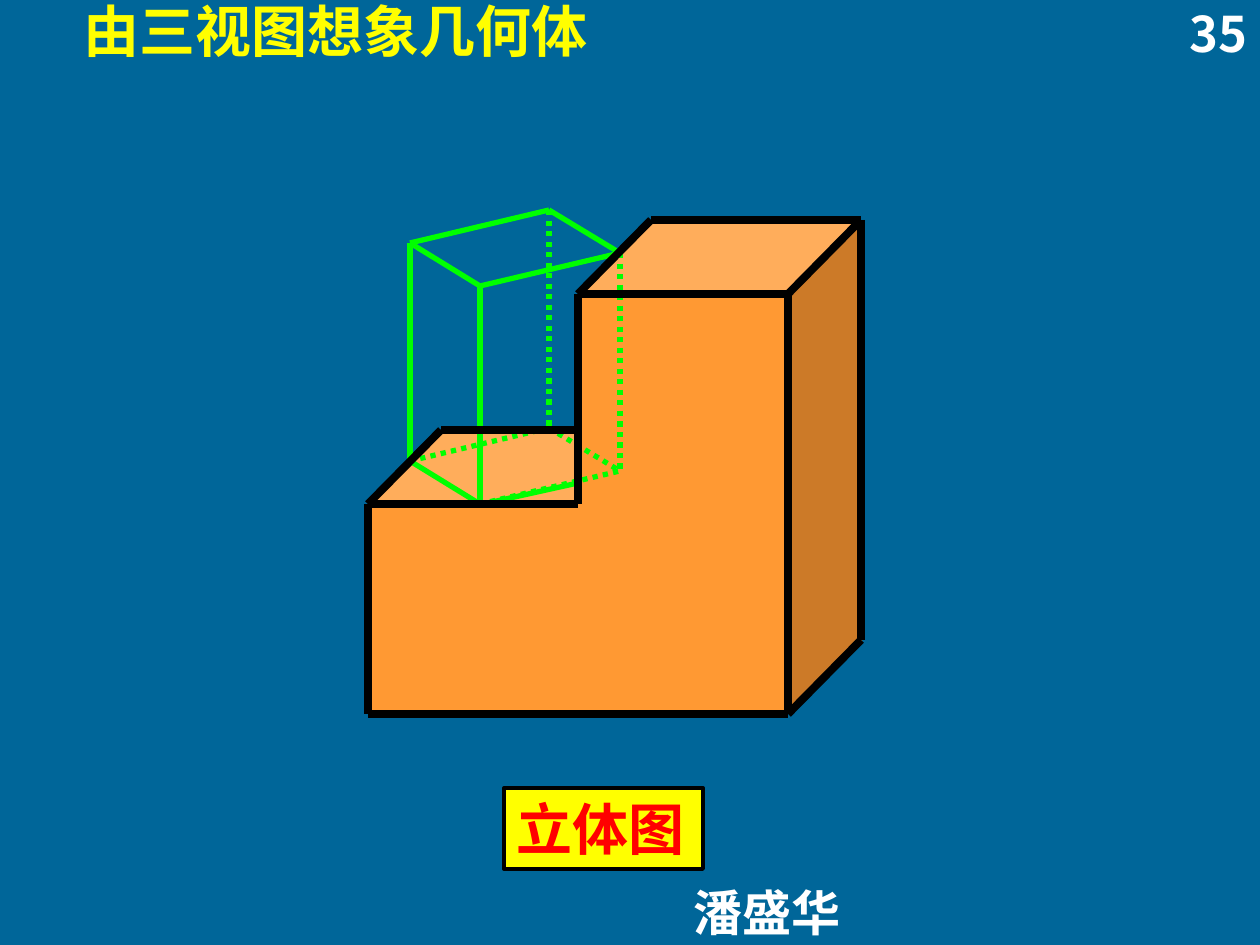
from dataclasses import dataclass
from typing import Optional

import lxml.etree
import pptx
import pptx.dml.color
import pptx.enum.dml
import pptx.enum.shapes
import pptx.enum.text
import pptx.oxml.ns
import pptx.util

EMU_PER_PX = 914400 / 126
ALIGN = pptx.enum.text.PP_ALIGN


@dataclass(frozen=True)
class Theme:
    background: str = "006699"
    solid: str = "FF9933"
    prism: str = "00FF00"
    outline: str = "000000"
    light: str = "FFFFFF"
    yellow: str = "FFFF00"
    red: str = "FF0000"
    east_asian_font: str = "Noto Sans CJK JP"
    heading_size: int = 32
    note_size: int = 28
    prism_width: float = 3
    outline_width: float = 4.5
    label_width: float = 2.25


@dataclass(frozen=True)
class Box:
    left: int
    top: int
    width: int
    height: int


@dataclass(frozen=True)
class TextStyle:
    size: int
    font: str
    color: str
    alignment: ALIGN


@dataclass(frozen=True)
class Point:
    x: int
    y: int


@dataclass(frozen=True)
class Edge:
    start: Point
    end: Point
    dotted: bool = False


THEME = Theme()


def px(length: int) -> int:
    return round(length * EMU_PER_PX)


def rgb(color: str) -> pptx.dml.color.RGBColor:
    return pptx.dml.color.RGBColor.from_string(color)


def place(box: Box) -> tuple[int, int, int, int]:
    return px(box.left), px(box.top), px(box.width), px(box.height)


def write_text(shape, text: str, style: TextStyle) -> None:
    frame = shape.text_frame
    frame.word_wrap = True
    frame.auto_size = pptx.enum.text.MSO_AUTO_SIZE.NONE
    frame.vertical_anchor = pptx.enum.text.MSO_ANCHOR.MIDDLE
    frame.margin_left = frame.margin_right = pptx.util.Inches(0.1)
    frame.margin_top = frame.margin_bottom = pptx.util.Inches(0.05)
    paragraph = frame.paragraphs[0]
    paragraph.text = text
    paragraph.alignment = style.alignment
    font = paragraph.font
    font.size = pptx.util.Pt(style.size)
    font.bold = True
    font.name = style.font
    font.color.rgb = rgb(style.color)
    properties = paragraph._p.pPr.find(pptx.oxml.ns.qn("a:defRPr"))
    east_asian = lxml.etree.SubElement(properties, pptx.oxml.ns.qn("a:ea"))
    east_asian.set("typeface", THEME.east_asian_font)


def add_text(slide, box: Box, text: str, style: TextStyle) -> None:
    write_text(slide.shapes.add_textbox(*place(box)), text, style)


def add_filled_shape(slide, kind, box: Box, fill: str, line: Optional[str] = None):
    shape = slide.shapes.add_shape(kind, *place(box))
    shape.shadow.inherit = False
    shape.fill.solid()
    shape.fill.fore_color.rgb = rgb(fill)
    if line is None:
        shape.line.fill.background()
    else:
        shape.line.color.rgb = rgb(line)
        shape.line.width = pptx.util.Pt(THEME.label_width)
    return shape


def add_edge(slide, edge: Edge, color: str, width: float) -> None:
    connector = slide.shapes.add_connector(
        pptx.enum.shapes.MSO_CONNECTOR.STRAIGHT,
        px(edge.start.x), px(edge.start.y), px(edge.end.x), px(edge.end.y),
    )
    connector.line.color.rgb = rgb(color)
    connector.line.width = pptx.util.Pt(width)
    if edge.dotted:
        connector.line.dash_style = pptx.enum.dml.MSO_LINE.ROUND_DOT
    lxml.etree.SubElement(connector._element.spPr, pptx.oxml.ns.qn("a:effectLst"))


def add_cubes(slide) -> None:
    left, top, step, size = 368, 220, 210, 284
    for column, row in ((0, 1), (1, 1), (1, 0)):
        box = Box(left + column * step, top + row * step, size, size)
        cube = add_filled_shape(slide, pptx.enum.shapes.MSO_SHAPE.CUBE, box, THEME.solid)
        cube.adjustments[0] = 0.25


def add_prism(slide) -> None:
    left, front, back, right = base = (
        Point(410, 461), Point(480, 504), Point(549, 428), Point(620, 471))
    top = [Point(corner.x, corner.y - 218) for corner in base]
    sides = ((0, 1), (0, 2), (1, 3), (2, 3))
    edges = [Edge(base[a], base[b], dotted=(a, b) != (0, 1)) for a, b in sides]
    edges += [Edge(top[a], top[b]) for a, b in sides]
    edges += [Edge(upper, lower, dotted=lower in (back, right))
              for upper, lower in zip(top, base)]
    edges.append(Edge(Point(483, 504), Point(578, 483)))
    for edge in edges:
        add_edge(slide, edge, THEME.prism, THEME.prism_width)


def add_outline(slide) -> None:
    low_left, bottom_left = Point(368, 504), Point(368, 714)
    bottom_right, top_right = Point(788, 714), Point(788, 294)
    inner_top, inner_low = Point(578, 294), Point(578, 504)
    back_left, back_right = Point(651, 220), Point(861, 220)
    low_back, low_back_end = Point(441, 430), Point(578, 430)
    back_bottom = Point(861, 640)
    chains = (
        (low_left, bottom_left, bottom_right, top_right,
         back_right, back_bottom, bottom_right),
        (top_right, inner_top, inner_low, low_left, low_back, low_back_end),
        (inner_top, back_left, back_right),
    )
    for chain in chains:
        for start, end in zip(chain, chain[1:]):
            add_edge(slide, Edge(start, end), THEME.outline, THEME.outline_width)


def main() -> None:
    presentation = pptx.Presentation()
    presentation.slide_width, presentation.slide_height = px(1260), px(945)
    slide = presentation.slides.add_slide(presentation.slide_layouts[5])
    slide.background.fill.solid()
    slide.background.fill.fore_color.rgb = rgb(THEME.background)

    title = slide.shapes.title
    title.left, title.top, title.width, title.height = place(Box(63, -10, 546, 81))
    write_text(title, "由三视图想象几何体",
               TextStyle(THEME.heading_size, "Roboto", THEME.yellow, ALIGN.CENTER))
    add_text(slide, Box(1154, 0, 106, 66), "35",
             TextStyle(THEME.note_size, "Noto Sans CJK JP", THEME.light, ALIGN.RIGHT))
    add_text(slide, Box(591, 879, 352, 66), "潘盛华",
             TextStyle(THEME.note_size, "Arial", THEME.light, ALIGN.CENTER))

    add_cubes(slide)
    add_prism(slide)
    label = add_filled_shape(slide, pptx.enum.shapes.MSO_SHAPE.RECTANGLE,
                             Box(504, 788, 199, 81), THEME.yellow, THEME.outline)
    write_text(label, "立体图",
               TextStyle(THEME.heading_size, "Times New Roman", THEME.red, ALIGN.LEFT))
    add_outline(slide)
    presentation.save("out.pptx")


if __name__ == "__main__":
    main()
